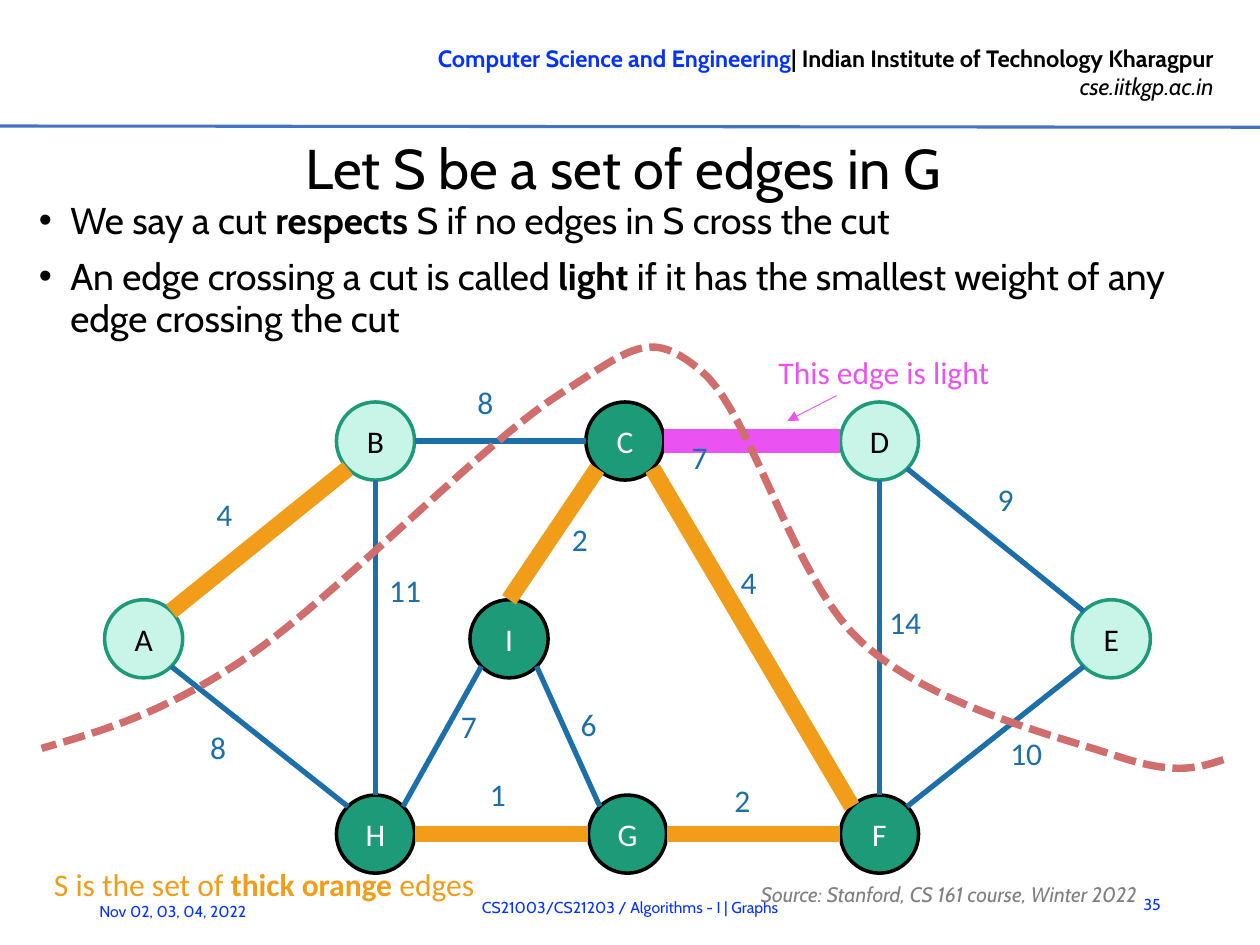
import math

import pptx
import pptx.dml.color
import pptx.enum.dml
import pptx.enum.shapes
import pptx.enum.text
import pptx.oxml.ns
import pptx.util
from lxml import etree

Inches, Pt = pptx.util.Inches, pptx.util.Pt
RGB = pptx.dml.color.RGBColor.from_string
Align, Anchor = pptx.enum.text.PP_ALIGN, pptx.enum.text.MSO_ANCHOR
qn = pptx.oxml.ns.qn

THEME = {
    "colour": {
        "black": RGB("000000"), "white": RGB("FFFFFF"), "grey": RGB("808080"),
        "brand": RGB("0432FF"), "rule": RGB("4472C4"), "weight": RGB("1D6FA9"),
        "tree": RGB("F19D19"), "light": RGB("EA53F1"), "cut": RGB("CF6E6C"),
        "mint": RGB("C8F5E8"), "green": RGB("1D9A78"),
    },
    "font": {
        "header": {"name": "Cabin", "size": Pt(13.5)},
        "title": {"name": "Cabin", "size": Pt(32)},
        "body": {"name": "Cabin", "size": Pt(21.3)},
        "source": {"name": "Cabin", "size": Pt(12), "italic": True},
        "footer": {"name": "Cabin", "size": Pt(9)},
        "graph": {"name": "Calibri", "size": Pt(18)},
    },
}
COLOUR, FONT = THEME["colour"], THEME["font"]
BOLD, ITALIC = {"bold": True}, {"italic": True}

deck = pptx.Presentation()
deck.slide_width, deck.slide_height = Inches(10), Inches(7.5)
slide = deck.slides.add_slide(deck.slide_layouts[6])


def add_text(box, paragraphs, font, colour, align=Align.LEFT, anchor=Anchor.TOP):
    """Add a text box; a paragraph is a list of (text, font values, colour) runs."""
    frame = slide.shapes.add_textbox(*map(Inches, box)).text_frame
    frame.word_wrap, frame.vertical_anchor = True, anchor
    for index, runs in enumerate(paragraphs):
        paragraph = frame.paragraphs[0] if index == 0 else frame.add_paragraph()
        paragraph.alignment = align
        for text, values, run_colour in runs:
            run = paragraph.add_run()
            run.text = text
            for key, value in {**FONT[font], **values}.items():
                setattr(run.font, key, value)
            run.font.color.rgb = COLOUR[run_colour or colour]
    return frame


def add_line(start, end, colour, width):
    line = slide.shapes.add_connector(
        pptx.enum.shapes.MSO_CONNECTOR.STRAIGHT, *map(Inches, (*start, *end)))
    line.line.color.rgb, line.line.width = COLOUR[colour], Pt(width)
    etree.SubElement(line._element.spPr, qn("a:effectLst"))
    return line


# Header, title and footer
add_text((2.65, 0.3, 7.08, 0.56),
         [[("Computer Science and Engineering", BOLD, "brand"),
           ("| Indian Institute of Technology Kharagpur", BOLD, None)],
          [("cse.iitkgp.ac.in", ITALIC, None)]],
         "header", "black", Align.RIGHT)
add_line((0, 1), (10, 1.01), "rule", 1.75)
title = add_text((0.32, 1.05, 9.26, 0.55),
                 [[("Let S be a set of edges in G", {}, None)]],
                 "title", "black", Align.CENTER, Anchor.MIDDLE)
title.margin_left = title.margin_right = title.margin_bottom = 0
title.margin_top = Inches(0.01)
for box, text, align in [
    ((8.82, 6.98, 0.49, 0.4), "35", Align.RIGHT),
    ((0.69, 7.03, 1.75, 0.4), "Nov 02, 03, 04, 2022", Align.LEFT),
    ((1.65, 7, 6.7, 0.4), "CS21003/CS21203 / Algorithms - I | Graphs", Align.CENTER),
]:
    add_text(box, [[(text, {}, None)]], "footer", "brand", align, Anchor.MIDDLE)

# Definitions
definitions = add_text(
    (0.21, 1.54, 9.37, 1.22),
    [[("We say a cut ", {}, None), ("respects", BOLD, None),
      (" S if no edges in S cross the cut", {}, None)],
     [("An edge crossing a cut is called ", {}, None), ("light", BOLD, None),
      (" if it has the smallest weight of any edge crossing the cut", {}, None)]],
    "body", "black")
for index, paragraph in enumerate(definitions.paragraphs):
    properties = paragraph._p.get_or_add_pPr()
    properties.set("marL", str(Inches(0.25)))
    properties.set("indent", str(-Inches(0.25)))
    etree.SubElement(properties, qn("a:buFont"), typeface="Arial")
    etree.SubElement(properties, qn("a:buChar"), char="•")
    paragraph.line_spacing = Pt(24)
    paragraph.space_before = Pt(4 if index else 0)
    paragraph.space_after = Pt(4)

# Notes around the graph
source = add_text((5.94, 6.93, 4.02, 0.23),
                  [[("Source: Stanford, CS 161 course, Winter 2022", {}, None)]],
                  "source", "grey", anchor=Anchor.MIDDLE)
source.paragraphs[0].line_spacing = Pt(21.3)
add_text((0.33, 6.82, 4.42, 0.5),
         [[("S is the set of ", {}, None), ("thick orange ", BOLD, None),
           ("edges", {}, None)]], "graph", "tree")

# Graph vertices: centres on three rows
RADIUS = 0.31
TOP, MIDDLE, BOTTOM = 3.5, 5.07, 6.62
vertices = {
    "D": (6.98, TOP), "C": (4.96, TOP), "B": (2.98, TOP),
    "A": (1.14, MIDDLE), "I": (4.04, MIDDLE), "E": (8.82, MIDDLE),
    "H": (2.98, BOTTOM), "G": (4.98, BOTTOM), "F": (6.98, BOTTOM),
}
for name, (x, y) in vertices.items():
    fill, outline, ink = (("mint", "green", "black") if name in "ABDE"
                          else ("green", "black", "white"))
    vertex = slide.shapes.add_shape(
        pptx.enum.shapes.MSO_SHAPE.OVAL,
        *map(Inches, (x - RADIUS, y - RADIUS, 2 * RADIUS, 2 * RADIUS)))
    vertex.shadow.inherit = False
    vertex.fill.solid()
    vertex.fill.fore_color.rgb = COLOUR[fill]
    vertex.line.color.rgb, vertex.line.width = COLOUR[outline], Pt(2)
    frame = vertex.text_frame
    frame.margin_left = frame.margin_right = frame.margin_top = frame.margin_bottom = 0
    frame.vertical_anchor = Anchor.MIDDLE
    label = frame.paragraphs[0]
    label.alignment = Align.CENTER
    run = label.add_run()
    run.text = name
    for key, value in FONT["graph"].items():
        setattr(run.font, key, value)
    run.font.color.rgb = COLOUR[ink]

# Graph edges: each end is a vertex and the angle at which the edge leaves it
EDGE_STYLES = {"plain": ("weight", 3), "tree": ("tree", 9.5), "light": ("light", 14)}
edges = [
    ("C", 45, "F", 225, "tree", "4", (5.78, 4.42)),
    ("C", 0, "D", 180, "light", "7", (5.39, 3.43)),
    ("E", 225, "D", 45, "plain", "9", (7.82, 3.76)),
    ("E", 135, "F", 315, "plain", "10", (7.92, 5.78)),
    ("D", 90, "F", 270, "plain", "14", (6.96, 4.74)),
    ("I", 45, "G", 225, "plain", "6", (4.51, 5.55)),
    ("G", 0, "F", 180, "tree", "2", (5.73, 6.15)),
    ("I", 270, "C", 135, "tree", "2", (4.44, 4.08)),
    ("B", 0, "C", 180, "plain", "8", (3.69, 2.99)),
    ("A", 315, "B", 135, "tree", "4", (1.62, 3.88)),
    ("A", 45, "H", 225, "plain", "8", (1.57, 5.73)),
    ("G", 180, "H", 0, "tree", "1", (3.79, 6.1)),
    ("I", 135, "H", 315, "plain", "7", (3.56, 5.56)),
    ("H", 270, "B", 90, "plain", "11", (2.99, 4.48)),
]
for start, start_angle, end, end_angle, style, weight, place in edges:
    ends = [(vertices[name][0] + RADIUS * math.cos(math.radians(angle)),
             vertices[name][1] + RADIUS * math.sin(math.radians(angle)))
            for name, angle in ((start, start_angle), (end, end_angle))]
    add_line(*ends, *EDGE_STYLES[style])
    add_text((*place, 0.86, 0.5), [[(weight, {}, None)]], "graph", "weight")

# Dashed cut: cubic curves through every third point
cut_points = [
    (9.71, 6.03), (9.52, 6.09), (9.34, 6.16), (8.86, 6), (8.38, 5.84), (7.38, 5.6),
    (6.83, 5.09), (6.28, 4.58), (5.96, 3.26), (5.56, 2.94), (5.16, 2.61), (5.03, 2.75),
    (4.44, 3.13), (3.84, 3.51), (2.66, 4.74), (1.97, 5.21), (1.29, 5.67), (0.81, 5.8),
    (0.33, 5.94),
]
STEPS = 20
curve = []
for first in range(0, len(cut_points) - 1, 3):
    for step in range(1, STEPS + 1):
        t = step / STEPS
        shares = [math.comb(3, k) * t**k * (1 - t)**(3 - k) for k in range(4)]
        curve.append(tuple(
            Inches(sum(share * point[axis] for share, point
                       in zip(shares, cut_points[first:first + 4])))
            for axis in (0, 1)))
builder = slide.shapes.build_freeform(*map(Inches, cut_points[0]))
builder.add_line_segments(curve, close=False)
cut = builder.convert_to_shape()
cut.shadow.inherit = False
cut.fill.background()
cut.line.color.rgb, cut.line.width = COLOUR["cut"], Pt(4.25)
cut.line.dash_style = pptx.enum.dml.MSO_LINE.SQUARE_DOT

# Callout for the light edge
add_text((6.08, 2.75, 2.18, 0.4), [[("This edge is light", {}, None)]], "graph", "light")
pointer = add_line((6.64, 3.14), (6.25, 3.34), "light", 0.5)
etree.SubElement(pointer.line._get_or_add_ln(), qn("a:tailEnd"), type="triangle")

deck.save("out.pptx")
